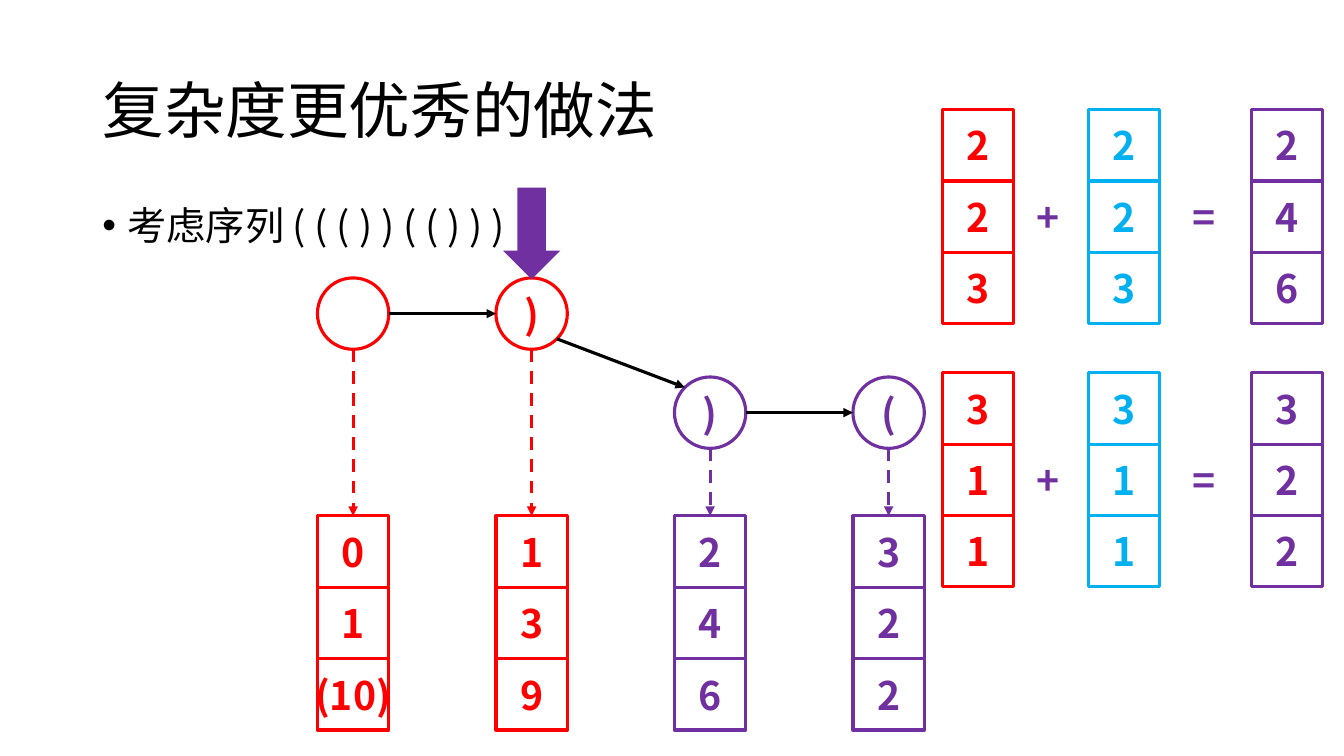
import pptx
import pptx.dml.color
import pptx.enum.dml
import pptx.enum.shapes
import pptx.enum.text
import pptx.oxml
import pptx.oxml.ns
import pptx.util

Pt = pptx.util.Pt
SHAPE = pptx.enum.shapes.MSO_SHAPE
ALIGN = pptx.enum.text.PP_ALIGN
ANCHOR = pptx.enum.text.MSO_ANCHOR
FONT = "Noto Sans CJK SC"
BLACK, RED, BLUE, PURPLE = "000000", "FF0000", "00B0F0", "7030A0"
CELL = 51
LINE = 2.25


def rgb(value):
    return pptx.dml.color.RGBColor.from_string(value)


def apply(target, formats):
    for name, value in formats.items():
        setattr(target, name, value)


def add_xml(parent, tag, **attributes):
    child = parent.makeelement(pptx.oxml.ns.qn(tag), attributes)
    parent.append(child)
    return child


def write(frame, text, size=28, color=BLACK, bold=False, paragraph_format=None, **frame_format):
    apply(frame, frame_format)
    paragraph = frame.paragraphs[0]
    apply(paragraph, paragraph_format or {})
    run = paragraph.add_run()
    run.text = text
    apply(run.font, {"size": Pt(size), "bold": bold, "name": FONT})
    run.font.color.rgb = rgb(color)
    add_xml(run.font._element, "a:ea", typeface=FONT)


def place(part, left, top, width, height):
    apply(part, {"left": Pt(left), "top": Pt(top), "width": Pt(width), "height": Pt(height)})


def add_outline(slide, kind, left, top, text, color):
    outline = slide.shapes.add_shape(kind, Pt(left), Pt(top), Pt(CELL), Pt(CELL))
    outline.shadow.inherit = False
    outline.fill.background()
    outline.line.color.rgb = rgb(color)
    outline.line.width = Pt(LINE)
    if text:
        write(outline.text_frame, text, color=color, bold=True,
              paragraph_format={"alignment": ALIGN.CENTER},
              vertical_anchor=ANCHOR.MIDDLE, word_wrap=len(text) == 1)
    return outline


def add_arrow(slide, start, end, color=BLACK, dashed=False):
    arrow = slide.shapes.add_connector(
        pptx.enum.shapes.MSO_CONNECTOR.STRAIGHT, *(Pt(value) for value in (*start, *end)))
    arrow.line.color.rgb = rgb(color)
    arrow.line.width = Pt(LINE)
    if dashed:
        arrow.line.dash_style = pptx.enum.dml.MSO_LINE.DASH
    add_xml(arrow.line._get_or_add_ln(), "a:tailEnd", type="triangle")
    add_xml(arrow._element.spPr, "a:effectLst")
    return arrow


def add_stack(slide, left, top, values, color):
    cells = [add_outline(slide, SHAPE.RECTANGLE, left, top + row * CELL, value, color)
             for row, value in enumerate(values)]
    return cells[0]


def add_heading(slide, left, top, width, height):
    heading = slide.shapes.title
    place(heading, left, top, width, height)
    write(heading.text_frame, "复杂度更优秀的做法", size=44,
          paragraph_format={"alignment": ALIGN.LEFT, "line_spacing": 0.9},
          vertical_anchor=ANCHOR.MIDDLE, auto_size=pptx.enum.text.MSO_AUTO_SIZE.NONE)


def add_sequence(slide, left, top, width, height):
    sequence = slide.placeholders[1]
    place(sequence, left, top, width, height)
    properties = sequence.text_frame.paragraphs[0]._p.get_or_add_pPr()
    apply(properties, {"marL": Pt(18), "indent": Pt(-18)})
    properties.set("marL", str(Pt(18)))
    properties.set("indent", str(Pt(-18)))
    add_xml(properties, "a:buFont", typeface="Arial")
    add_xml(properties, "a:buChar", char="•")
    write(sequence.text_frame, "考虑序列 ( ( ( ) ) ( ( ) ) )",
          paragraph_format={"line_spacing": 0.9, "space_before": Pt(0)},
          vertical_anchor=ANCHOR.TOP, auto_size=pptx.enum.text.MSO_AUTO_SIZE.NONE)


def add_chain(slide, left, top, width, height):
    step = (width - CELL) / 3
    drop = 70.75
    stack_top = top + height - 3 * CELL
    half = CELL / 2
    diagonal = half * 0.5 ** 0.5
    nodes = [("", 0, RED, ("0", "1", "(10)")), (")", 0, RED, ("1", "3", "9")),
             (")", drop, PURPLE, ("2", "4", "6")), ("(", drop, PURPLE, ("3", "2", "2"))]
    centers = []
    for column, (bracket, offset, color, values) in enumerate(nodes):
        node_left, node_top = left + column * step, top + offset
        add_outline(slide, SHAPE.OVAL, node_left, node_top, bracket, color)
        first_cell = add_stack(slide, node_left, stack_top, values, color)
        center = (node_left + half, node_top + half)
        centers.append(center)
        link = add_arrow(slide, (center[0], node_top + CELL), (center[0], stack_top), color, True)
        link.end_connect(first_cell, 0)
    for (x1, y1), (x2, y2) in zip(centers, centers[1:]):
        dx, dy = (half, 0) if y1 == y2 else (diagonal, diagonal)
        add_arrow(slide, (x1 + dx, y1 + dy), (x2 - dx, y2 - dy))
    pointer = slide.shapes.add_shape(SHAPE.DOWN_ARROW, 0, 0, 0, 0)
    place(pointer, centers[1][0] - 20.5, top - 64.5, 41, 65.5)
    pointer.shadow.inherit = False
    pointer.fill.solid()
    pointer.fill.fore_color.rgb = rgb(PURPLE)
    pointer.line.fill.background()


def add_sum(slide, left, top, width, height, addends, total):
    columns = zip((0, 104.5, width - CELL), (*addends, total), (RED, BLUE, PURPLE))
    for offset, values, color in columns:
        add_stack(slide, left + offset, top, values, color)
    for offset, sign in ((60.5, "+"), (171.5, "=")):
        operator = slide.shapes.add_textbox(
            Pt(left + offset), Pt(top + (height - 41) / 2), Pt(34.5), Pt(41))
        write(operator.text_frame, sign, color=PURPLE, bold=True, word_wrap=False)


def main():
    presentation = pptx.Presentation()
    apply(presentation, {"slide_width": Pt(960), "slide_height": Pt(540)})
    slide = presentation.slides.add_slide(presentation.slide_layouts[1])
    add_heading(slide, 66, 28.75, 828, 104.5)
    add_sequence(slide, 66, 144, 828, 42)
    add_chain(slide, 226.75, 198.5, 433.5, 323)
    sums = [(78.25, (("2", "2", "3"), ("2", "2", "3")), ("2", "4", "6")),
            (266.25, (("3", "1", "1"), ("3", "1", "1")), ("3", "2", "2"))]
    for top, addends, total in sums:
        add_sum(slide, 673, top, 272, 3 * CELL, addends, total)
    presentation.save("out.pptx")


if __name__ == "__main__":
    main()
